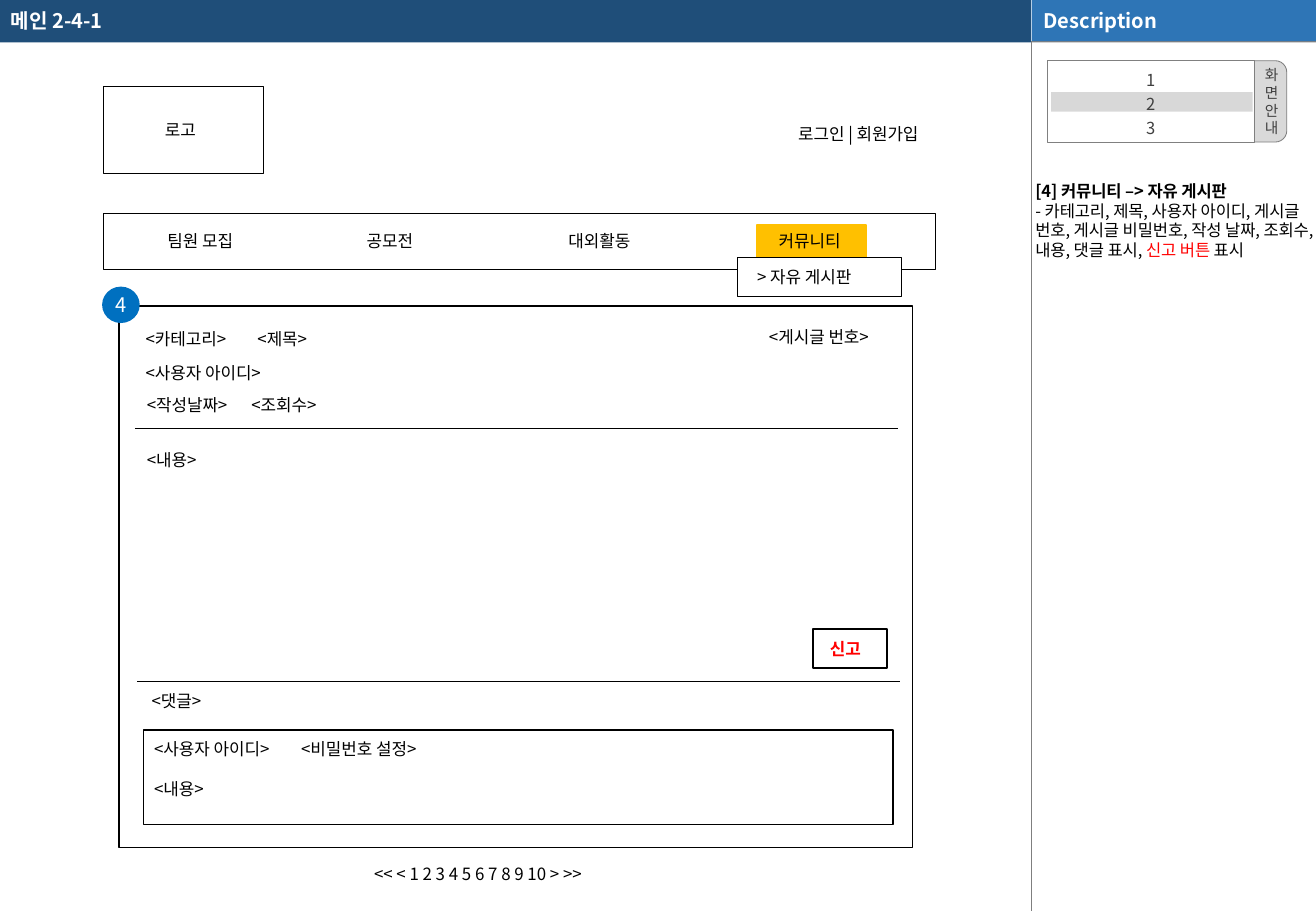
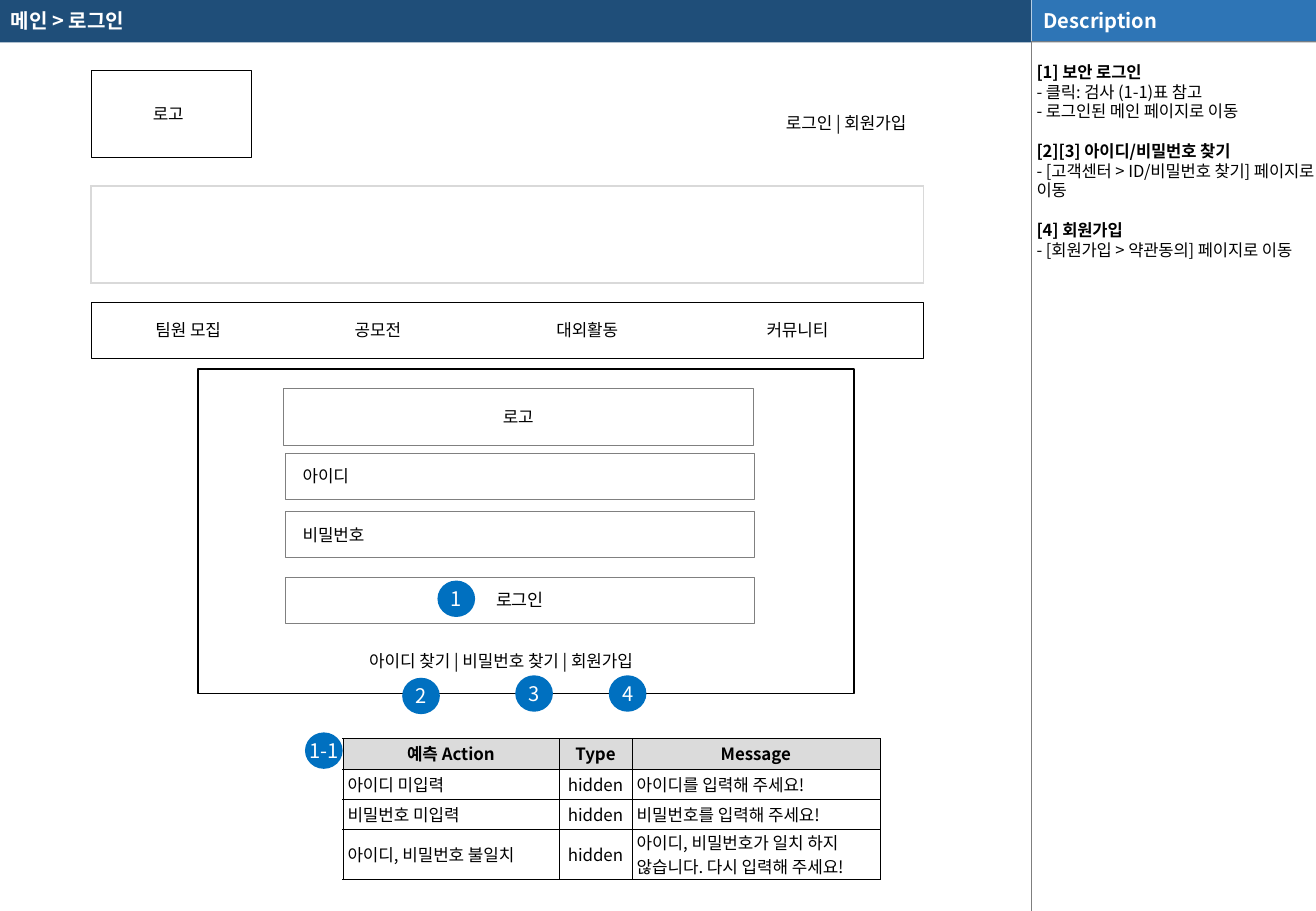
from lxml import etree
from pptx import Presentation, util as u
from pptx.dml.color import RGBColor
from pptx.enum import shapes, text
from pptx.oxml.ns import qn

PX = 9144  # one px is a hundredth of an inch
FONT = "Noto Sans CJK KR"
COLORS = {
    "navy": "1F4E79", "blue": "2E75B6", "badge": "0070C0", "yellow": "FFC000",
    "red": "FF0000", "black": "000000", "white": "FFFFFF", "ink": "404040",
    "gray": "808080", "rule": "7F7F7F", "silver": "D9D9D9", "header": "DBDBDB",
}
SHAPE = shapes.MSO_SHAPE
LEFT, CENTER, RIGHT = text.PP_ALIGN.LEFT, text.PP_ALIGN.CENTER, text.PP_ALIGN.RIGHT
TOP, MIDDLE = text.MSO_ANCHOR.TOP, text.MSO_ANCHOR.MIDDLE
INSETS = (10, 5, 10, 5)
PAGE_WIDTH, PAGE_HEIGHT = 1083, 750
SPLIT, BAND = 849, 35
NOTE_SIZE, NOTE_LINE = 9.75, 11.7
MENU = [("팀원 모집", 43), ("공모전", 207), ("대외활동", 373), ("커뮤니티", 546)]


def px(*lengths):
    return [u.Emu(length * PX) for length in lengths]


def rgb(name):
    return RGBColor.from_string(COLORS[name])


def write(frame, paragraphs, size=10, color="black", bold=False, align=LEFT,
          anchor=MIDDLE, insets=INSETS, leading=None, wrap=True):
    """Fill a frame; each paragraph is a string or a list of (text, colour) spans."""
    frame.word_wrap = wrap
    frame.auto_size = text.MSO_AUTO_SIZE.NONE
    frame.vertical_anchor = anchor
    (frame.margin_left, frame.margin_top,
     frame.margin_right, frame.margin_bottom) = px(*insets)
    if isinstance(paragraphs, str):
        paragraphs = [paragraphs]
    for index, content in enumerate(paragraphs):
        para = frame.add_paragraph() if index else frame.paragraphs[0]
        write_spans(para, content, size, color, bold, align, leading)


def write_spans(para, content, size, color, bold, align, leading=None):
    para.alignment = align
    para.space_before = u.Pt(0)
    if leading:
        para.line_spacing = u.Pt(leading)
    spans = [(content, color)] if isinstance(content, str) else content
    for words, span_color in spans:
        span = para.add_run()
        span.text = words
        span.font.size = u.Pt(size)
        span.font.bold = bold
        span.font.name = FONT
        span.font.color.rgb = rgb(span_color)
        etree.SubElement(span._r.get_or_add_rPr(), qn("a:ea"), typeface=FONT)


class Wireframe:
    def __init__(self):
        self.deck = Presentation()
        self.deck.slide_width, self.deck.slide_height = px(PAGE_WIDTH, PAGE_HEIGHT)
        self.page = None

    def add_page(self, title):
        """Start a slide with its title band and the description column."""
        self.page = self.deck.slides.add_slide(self.deck.slide_layouts[5])
        band = self.page.shapes.title
        band.left, band.top, band.width, band.height = px(0, 0, SPLIT, BAND)
        band.fill.solid()
        band.fill.fore_color.rgb = rgb("navy")
        write(band.text_frame, title, size=11.9, color="white", bold=True,
              insets=(9, 4, 10, 6))
        side = PAGE_WIDTH - SPLIT
        self.box(SPLIT, 0, side, BAND, fill="gray")
        self.line(SPLIT, 0, SPLIT, BAND, "white", 0.25)
        self.line(SPLIT, BAND - 1, SPLIT, PAGE_HEIGHT, "rule", 0.25)
        self.box(SPLIT, 0, side, BAND - 1, "Description", fill="blue",
                 size=11.9, color="white", bold=True)

    def box(self, left, top, width, height, words=None, fill=None, line=None,
            weight=0.75, kind=SHAPE.RECTANGLE, **style):
        shape = self.page.shapes.add_shape(kind, *px(left, top, width, height))
        shape.shadow.inherit = False
        if fill:
            shape.fill.solid()
            shape.fill.fore_color.rgb = rgb(fill)
        else:
            shape.fill.background()
        if line:
            shape.line.color.rgb = rgb(line)
            shape.line.width = u.Pt(weight)
        else:
            shape.line.fill.background()
        if words:
            write(shape.text_frame, words, **style)
        return shape

    def label(self, left, top, width, words):
        box = self.page.shapes.add_textbox(*px(left, top, width, 27))
        write(box.text_frame, words, anchor=TOP)

    def badge(self, left, top, number):
        self.box(left, top, 31, 30, number, fill="badge", kind=SHAPE.OVAL,
                 size=11.9, color="white", align=CENTER, insets=(0, 0, 0, 0),
                 wrap=False)

    def line(self, x1, y1, x2, y2, color="black", weight=0.5):
        line = self.page.shapes.add_connector(
            shapes.MSO_CONNECTOR.STRAIGHT, *px(x1, y1, x2, y2))
        line.line.color.rgb = rgb(color)
        line.line.width = u.Pt(weight)
        etree.SubElement(line._element.spPr, qn("a:effectLst"))

    def table(self, left, top, widths, heights, rows, line, weight, centered=()):
        """Add a bordered table; its first row is the header."""
        table = self.page.shapes.add_table(
            len(heights), len(widths),
            *px(left, top, sum(widths), sum(heights))).table
        table.first_row = table.horz_banding = False
        for column, width in zip(table.columns, px(*widths)):
            column.width = width
        for row, height in zip(table.rows, px(*heights)):
            row.height = height
        for i, row in enumerate(rows):
            for j, words in enumerate(row):
                cell = table.cell(i, j)
                self.border(cell, line, weight)
                if not words:
                    cell.fill.background()
                    continue
                cell.fill.solid()
                cell.fill.fore_color.rgb = rgb("white" if i else "header")
                cell.vertical_anchor = MIDDLE
                (cell.margin_left, cell.margin_top,
                 cell.margin_right, cell.margin_bottom) = px(4, 0, 4, 0)
                align = CENTER if i == 0 or j in centered else LEFT
                write_spans(cell.text_frame.paragraphs[0], words, 10, "black",
                            i == 0, align)

    def border(self, cell, color, weight):
        properties = cell._tc.get_or_add_tcPr()
        for side in ("lnL", "lnR", "lnT", "lnB"):
            edge = etree.SubElement(properties, qn("a:" + side),
                                    w=str(u.Pt(weight)))
            paint = etree.SubElement(edge, qn("a:solidFill"))
            etree.SubElement(paint, qn("a:srgbClr"), val=COLORS[color])

    def description(self, left, top, sections):
        """Write sections, each a bold heading followed by its lines."""
        box = self.page.shapes.add_textbox(
            *px(left, top, PAGE_WIDTH - left, PAGE_HEIGHT - top))
        frame = box.text_frame
        write(frame, [], anchor=TOP, insets=(4, 0, 0, 0))
        for index, section in enumerate(sections):
            for row, content in enumerate(section):
                first = index == row == 0
                para = frame.paragraphs[0] if first else frame.add_paragraph()
                write_spans(para, content, NOTE_SIZE, "black", row == 0, LEFT,
                            NOTE_LINE)
                if index and row == 0:
                    para.space_before = u.Pt(NOTE_LINE)

    def site_header(self, left, logo_top, links_top, menu_top):
        self.box(left, logo_top, 132, 72, "로고", line="black", align=CENTER,
                 insets=(10, 5, 15, 5))
        self.label(left + 562, links_top, 140, "로그인 | 회원가입")
        self.box(left, menu_top, 685, 46, line="black")
        for words, offset in MENU:
            self.label(left + offset, menu_top + 9, 90, words)


def build_post_page(frame):
    frame.add_page("메인 2-4-1")
    frame.box(623, 185, 90, 27, fill="yellow", line="yellow", weight=1)
    frame.site_header(85, 71, 97, 176)
    frame.box(607, 212, 135, 32, "> 자유 게시판", fill="white", line="black",
              weight=1, insets=(16, 5, 5, 5))
    frame.box(98, 252, 653, 446, fill="white", line="black")
    frame.badge(84, 236, "4")
    frame.line(111, 353, 739, 353)
    frame.line(113, 561, 741, 561)
    frame.box(118, 601, 617, 78, fill="white", line="black")
    frame.box(669, 518, 61, 32, "신고", fill="white", line="black", weight=1,
              color="red", bold=True, insets=(14, 5, 5, 5))
    for left, top, width, words in [
            (110, 266, 107, "<카테고리>"), (202, 266, 75, "<제목>"),
            (623, 264, 122, "<게시글 번호>"), (110, 294, 138, "<사용자 아이디>"),
            (111, 320, 106, "<작성날짜>"), (197, 320, 86, "<조회수>"),
            (111, 365, 86, "<내용>"), (115, 564, 86, "<댓글>"),
            (117, 603, 135, "<사용자 아이디>"), (238, 603, 159, "<비밀번호 설정>"),
            (117, 636, 86, "<내용>"),
            (298, 706, 257, "<< < 1 2 3 4 5 6 7 8 9 10 > >>")]:
        frame.label(left, top, width, words)

    tab = frame.box(1009, 50, 50, 67, list("화면안내"), fill="silver", line="gray",
                    weight=0.5, kind=SHAPE.ROUNDED_RECTANGLE, size=8.7,
                    color="ink", align=RIGHT, insets=(0, 0, 4, 0), leading=10.5)
    tab.adjustments[0] = 0.19
    frame.box(862, 50, 170, 67, list("123"), fill="white", line="gray", weight=0.5,
              size=9.8, color="ink", align=CENTER, insets=(4, 4, 4, 4), leading=14.2)
    marker = frame.box(865, 76, 166, 16, fill="ink")
    paint = marker._element.spPr.find(qn("a:solidFill"))
    etree.SubElement(paint[0], qn("a:alpha"), val="20000")
    frame.description(848, 149, [[
        "[4] 커뮤니티 –> 자유 게시판",
        [("- 카테고리, 제목, 사용자 아이디, 게시글 번호, 게시글 비밀번호, 작성 날짜, "
          "조회수, 내용, 댓글 표시, ", "black"),
         ("신고 버튼 ", "red"), ("표시", "black")]]])


def build_login_page(frame):
    frame.add_page("메인 > 로그인")
    frame.box(163, 304, 540, 267, fill="white", line="black", weight=1)
    frame.site_header(75, 58, 88, 249)
    frame.table(75, 153, [685], [80], [[""]], "silver", 1)
    field = {"fill": "white", "line": "gray", "weight": 0.5}
    frame.box(233, 320, 387, 47, "로고", align=CENTER, **field)
    for top, words in [(373, "아이디"), (421, "비밀번호")]:
        frame.box(235, top, 386, 38, words, insets=(14, 5, 10, 5), **field)
    frame.box(235, 475, 386, 38, "로그인", size=10.3, align=CENTER, **field)
    frame.label(294, 531, 280, "아이디 찾기 | 비밀번호 찾기 | 회원가입")
    frame.table(282, 608, [178, 60, 204], [25, 25, 25, 41], [
        ["예측 Action", "Type", "Message"],
        ["아이디 미입력", "hidden", "아이디를 입력해 주세요!"],
        ["비밀번호 미입력", "hidden", "비밀번호를 입력해 주세요!"],
        ["아이디, 비밀번호 불일치", "hidden",
         "아이디, 비밀번호가 일치 하지 않습니다. 다시 입력해 주세요!"],
    ], "black", 0.25, centered=(1,))
    for left, top, number in [(360, 478, "1"), (331, 558, "2"), (424, 556, "3"),
                              (501, 556, "4"), (251, 603, "1-1")]:
        frame.badge(left, top, number)
    frame.description(849, 51, [
        ["[1] 보안 로그인", "- 클릭: 검사 (1-1)표 참고", "- 로그인된 메인 페이지로 이동"],
        ["[2][3] 아이디/비밀번호 찾기", "- [고객센터 > ID/비밀번호 찾기] 페이지로 이동"],
        ["[4] 회원가입", "- [회원가입 > 약관동의] 페이지로 이동"]])


def main():
    frame = Wireframe()
    build_post_page(frame)
    build_login_page(frame)
    frame.deck.save("out.pptx")


if __name__ == "__main__":
    main()
